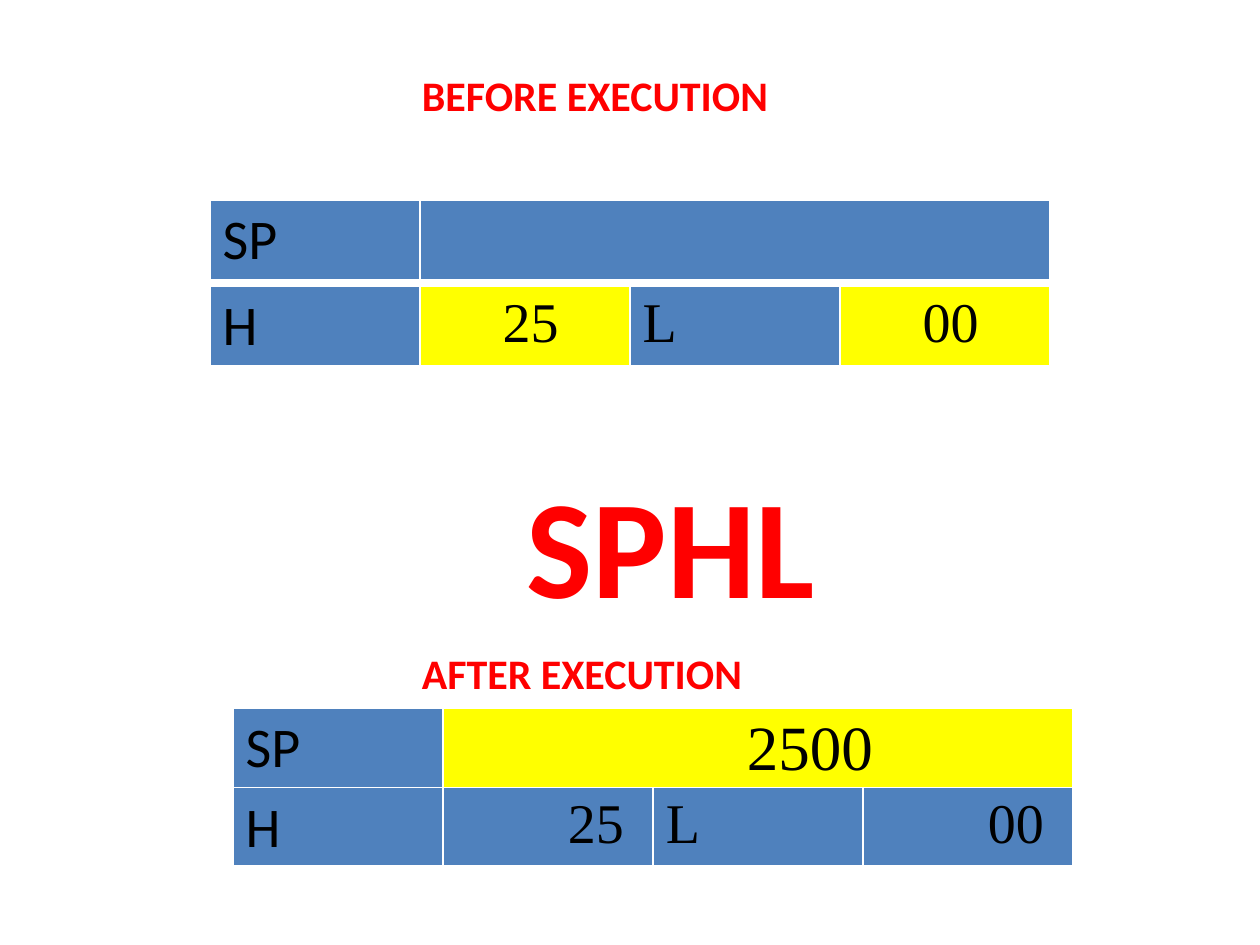
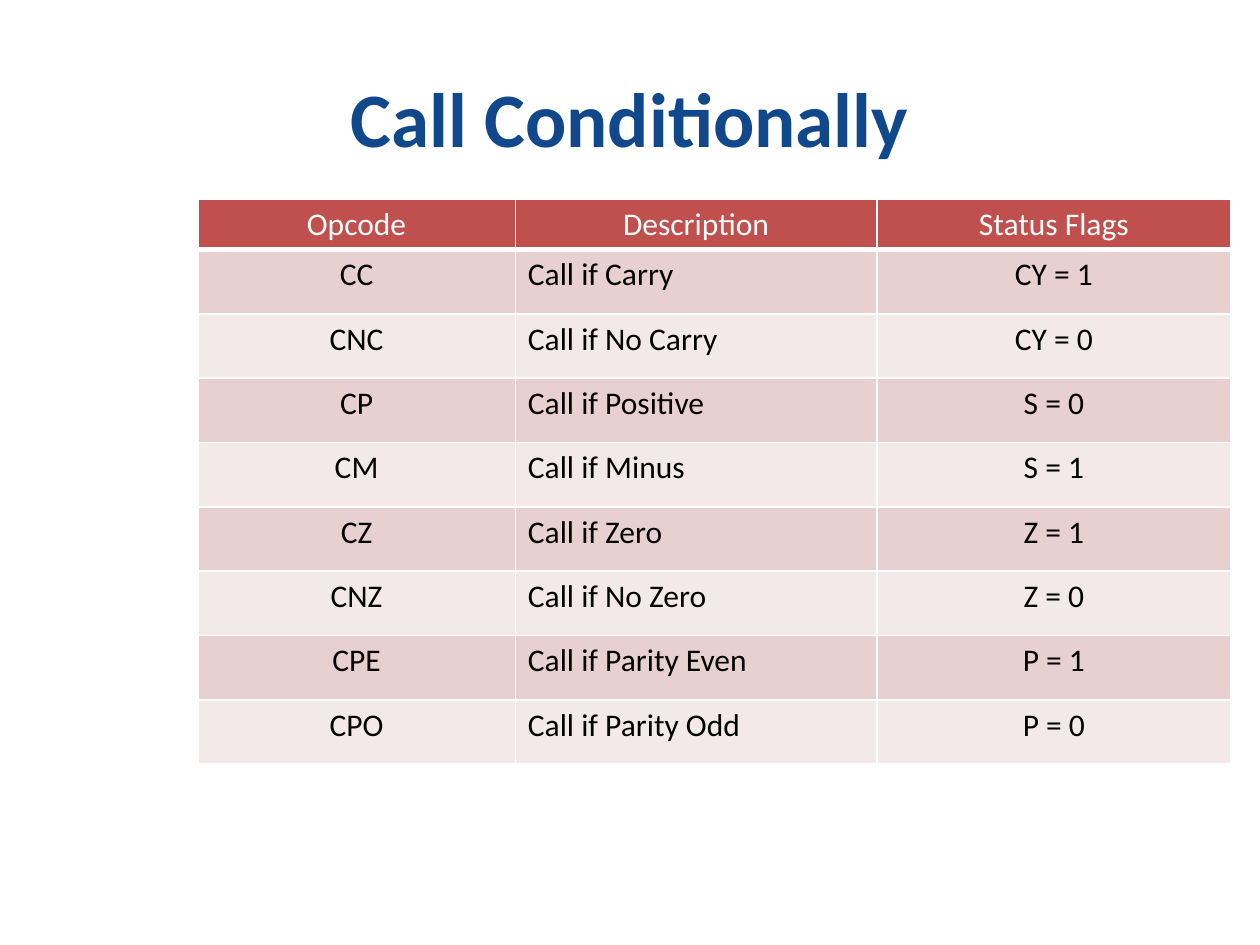
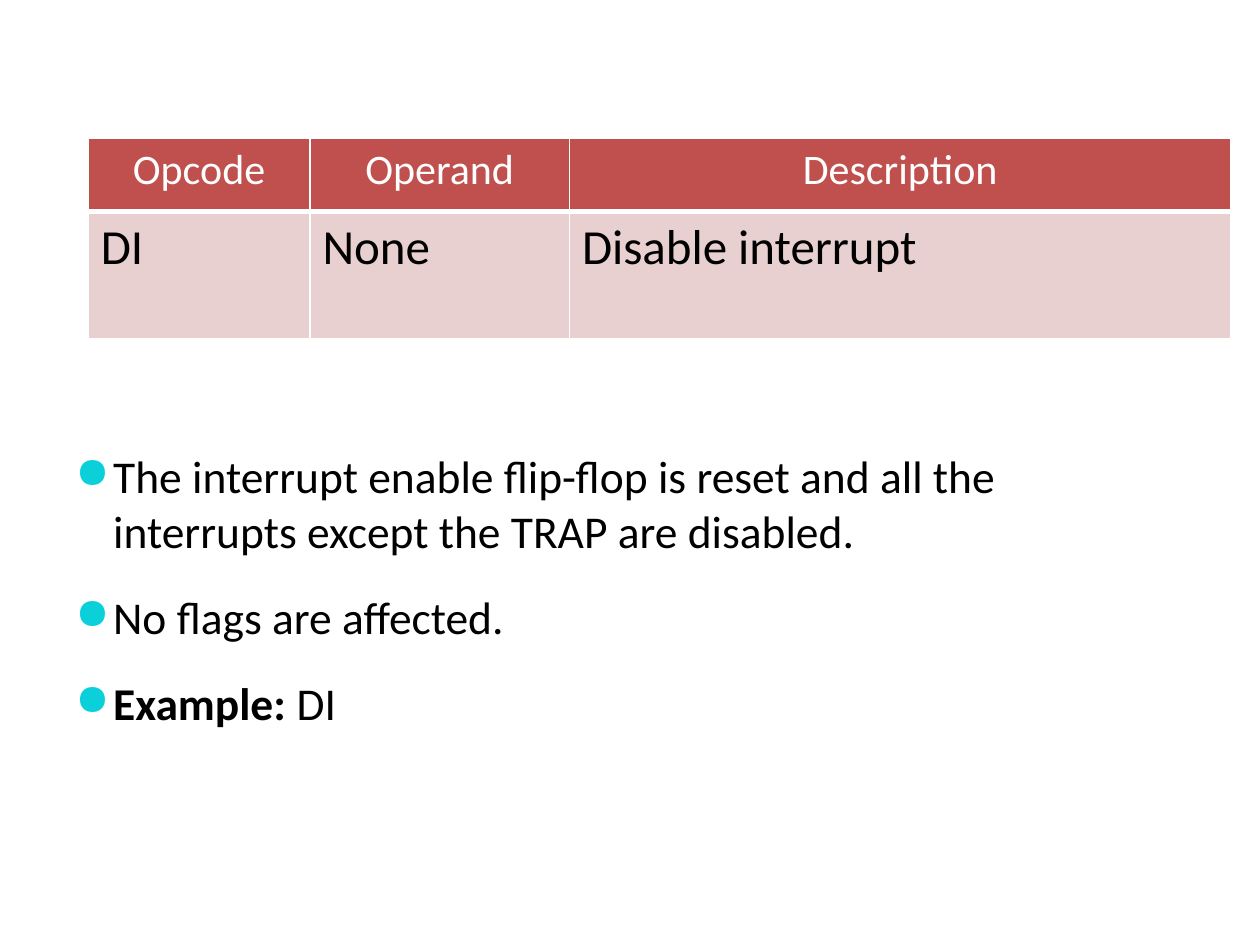
from lxml import etree
from pptx import Presentation, util as u
from pptx.dml.color import RGBColor
from pptx.enum import text
from pptx.oxml import ns

COLORS = {
    "white": "FFFFFF", "black": "000000", "red": "FF0000", "navy": "11478B",
    "blue": "4F81BD", "yellow": "FFFF00", "brick": "C0504D",
    "rose": "E8D0D0", "blush": "F4E9E9", "cyan": "0BD0D9",
}
BODY, DIGITS = "Calibri", "Times New Roman"
LEFT, CENTER = text.PP_ALIGN.LEFT, text.PP_ALIGN.CENTER
COLUMNS = 100
SLIDE_WIDTH, SLIDE_HEIGHT = u.Inches(10), u.Inches(7.5)
REGISTER_COLUMN, REGISTER_ROW = 16.67, 6.3


def grid(units):
    return round(SLIDE_WIDTH * units / COLUMNS)


def color(name):
    return RGBColor.from_string(COLORS[name])


def add_span(para, words, size, ink="black", bold=False, font=BODY):
    span = para.add_run()
    span.text = words
    span.font.name, span.font.size, span.font.bold = font, u.Pt(size), bold
    span.font.color.rgb = color(ink)


def add_box(page, left, top, width, height):
    box = page.shapes.add_textbox(*map(grid, (left, top, width, height)))
    box.text_frame.word_wrap = True
    return box.text_frame


def add_heading(page, words, left, top, width, height, size, ink="red", align=LEFT):
    frame = add_box(page, left, top, width, height)
    frame.vertical_anchor = text.MSO_ANCHOR.MIDDLE
    para = frame.paragraphs[0]
    para.alignment = align
    add_span(para, words, size, ink, bold=True)


def add_borders(cell, bottom):
    properties = cell._tc.get_or_add_tcPr()
    for side, points in (("L", 1), ("R", 1), ("T", 1), ("B", bottom)):
        line = etree.SubElement(properties, ns.qn(f"a:ln{side}"), w=str(u.Pt(points)))
        fill = etree.SubElement(line, ns.qn("a:solidFill"))
        etree.SubElement(fill, ns.qn("a:srgbClr"), val=COLORS["white"])


def add_grid_table(page, left, top, widths, heights):
    frame = page.shapes.add_table(len(heights), len(widths), grid(left), grid(top),
                                  grid(sum(widths)), grid(sum(heights)))
    table = frame.table
    table.first_row = table.horz_banding = False
    for column, width in zip(table.columns, widths):
        column.width = grid(width)
    for row, height in zip(table.rows, heights):
        row.height = grid(height)
    return table


def fill_cell(cell, words, fill, size, ink="black", align=LEFT, font=BODY, indent=0, bottom=1):
    add_borders(cell, bottom)
    cell.fill.solid()
    cell.fill.fore_color.rgb = color(fill)
    cell.margin_left = grid(1 + indent)
    para = cell.text_frame.paragraphs[0]
    para.alignment = align
    if words:
        add_span(para, words, size, ink, font=font)


def add_register_row(page, left, top, cells):
    widths = [REGISTER_COLUMN * share for *_, share in cells]
    table = add_grid_table(page, left, top, widths, [REGISTER_ROW])
    for index, (words, fill, font, size, indent, _) in enumerate(cells):
        fill_cell(table.cell(0, index), words, fill, size, font=font, indent=indent, bottom=3)


def add_registers(page, left, tops, pointer, pointer_fill, byte_fill, byte_indent):
    add_register_row(page, left, tops[0], [
        ("SP", "blue", BODY, 32, 0, 1),
        (pointer, pointer_fill, DIGITS, 36, 23.1, 3),
    ])
    add_register_row(page, left, tops[1], [
        ("H", "blue", BODY, 32, 0, 1),
        ("25", byte_fill, DIGITS, 32, byte_indent, 1),
        ("L", "blue", DIGITS, 32, 0, 1),
        ("00", byte_fill, DIGITS, 32, byte_indent, 1),
    ])


def add_opcode_table(page, left, top, widths, heights, rows, sizes, aligns):
    table = add_grid_table(page, left, top, widths, heights)
    for index, words in enumerate(rows[0]):
        fill_cell(table.cell(0, index), words, "brick", sizes[0], "white", CENTER, bottom=3)
    for number, row in enumerate(rows[1:], 1):
        fill = "rose" if number % 2 else "blush"
        for index, (words, align) in enumerate(zip(row, aligns)):
            fill_cell(table.cell(number, index), words, fill, sizes[1], align=align)


def add_bullets(page, left, top, width, height, items):
    frame = add_box(page, left, top, width, height)
    for index, spans in enumerate(items):
        para = frame.add_paragraph() if index else frame.paragraphs[0]
        properties = para._p.get_or_add_pPr()
        properties.set("marL", str(grid(3)))
        properties.set("indent", str(-grid(3)))
        para.space_after = u.Pt(18)
        bullet = etree.SubElement(properties, ns.qn("a:buClr"))
        etree.SubElement(bullet, ns.qn("a:srgbClr"), val=COLORS["cyan"])
        etree.SubElement(properties, ns.qn("a:buSzPct"), val="95000")
        etree.SubElement(properties, ns.qn("a:buChar"), char="●")
        for words, bold in spans:
            add_span(para, words, 26, bold=bold)


def build_sphl(page):
    add_registers(page, 16.67, (15.9, 22.7), "", "blue", "yellow", 5.55)
    for words, top in (("BEFORE EXECUTION", 5), ("AFTER EXECUTION", 50.8)):
        add_heading(page, words, 32.5, top, 63.3, 5.1, 24)
    add_heading(page, "SPHL", 40.8, 35.8, 29.2, 14.5, 80)
    add_registers(page, 18.5, (56.2, 62.5), "2500", "yellow", "blue", 8.9)


def build_conditional_calls(page):
    add_heading(page, "Call Conditionally", 5, 3, 90, 12.5, 44, "navy", CENTER)
    rows = [
        ("Opcode", "Description", "Status Flags"),
        ("CC", "Call if Carry", "CY = 1"),
        ("CNC", "Call if No Carry", "CY = 0"),
        ("CP", "Call if Positive", "S = 0"),
        ("CM", "Call if Minus", "S = 1"),
        ("CZ", "Call if Zero", "Z = 1"),
        ("CNZ", "Call if No Zero", "Z = 0"),
        ("CPE", "Call if Parity Even", "P = 1"),
        ("CPO", "Call if Parity Odd", "P = 0"),
    ]
    heights = [4] + [5.11] * (len(rows) - 1)
    add_opcode_table(page, 15.7, 15.8, (25.2, 28.7, 28.1), heights, rows,
                     (18, 18), (CENTER, LEFT, CENTER))


def build_disable_interrupt(page):
    rows = [("Opcode", "Operand", "Description"), ("DI", "None", "Disable interrupt")]
    add_opcode_table(page, 7, 11, (17.6, 20.6, 52.5), (5.8, 10.1), rows,
                     (24, 28), (LEFT, LEFT, LEFT))
    add_bullets(page, 5, 35.1, 90, 34, [
        [("The interrupt enable flip-flop is reset and all the interrupts "
          "except the TRAP are disabled.", False)],
        [("No flags are affected.", False)],
        [("Example:", True), (" DI", False)],
    ])


def main():
    deck = Presentation()
    deck.slide_width, deck.slide_height = SLIDE_WIDTH, SLIDE_HEIGHT
    for build in (build_sphl, build_conditional_calls, build_disable_interrupt):
        build(deck.slides.add_slide(deck.slide_layouts[6]))
    deck.save("out.pptx")


if __name__ == "__main__":
    main()
